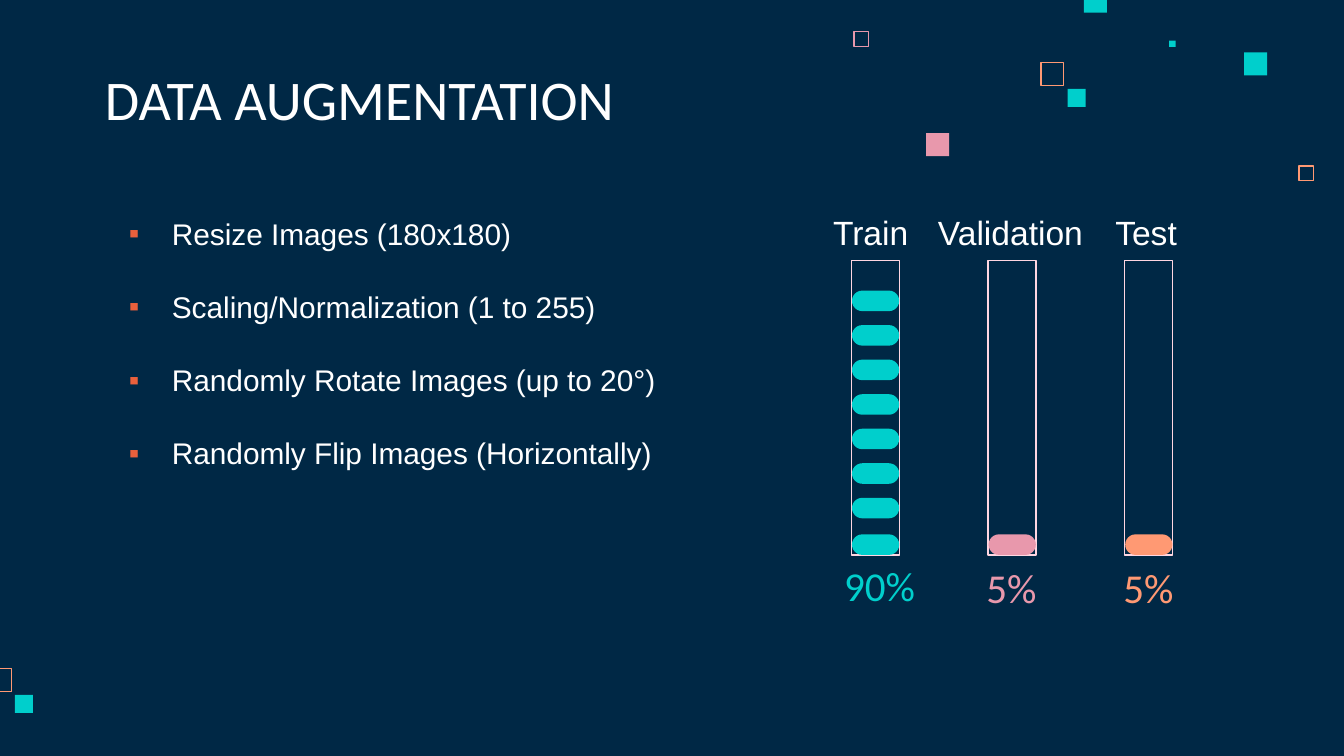
from lxml import etree
from pptx import Presentation
from pptx.dml.color import RGBColor
from pptx.enum import shapes, text
from pptx.oxml.ns import qn
from pptx.util import Pt

NAVY, WHITE, TEAL = "002845", "FFFFFF", "00CFCC"
PINK, ORANGE, PALE, BULLET = "E898AC", "FF9973", "FFD6E1", "E9603C"

TITLE = "DATA AUGMENTATION"
STEPS = [
    "Resize Images (180x180)",
    "Scaling/Normalization (1 to 255)",
    "Randomly Rotate Images (up to 20°)",
    "Randomly Flip Images (Horizontally)",
]
# name, name left, name width, share, share left, share top, colour, pills
SPLITS = [
    ("Train", 439.2, 60, "90%", 435.6, 303.1, TEAL, 8),
    ("Validation", 495.4, 94.5, "5%", 506.2, 303.8, PINK, 1),
    ("Test", 590.4, 50, "5%", 579.6, 303.8, ORANGE, 1),
]
# left, top, side, colour, filled
SQUARES = [
    (695.5, 88.6, 8.6, ORANGE, False),
    (457.2, 16.6, 8.6, PINK, False),
    (557.3, 33.1, 13, ORANGE, False),
    (626.4, 21.8, 3.4, TEAL, True),
    (580.6, -5.6, 12.4, TEAL, True),
    (666.5, 28, 12.4, TEAL, True),
    (572, 47.6, 9.7, TEAL, True),
    (496.1, 71.3, 12.4, PINK, True),
    (-6.5, 357.8, 13, ORANGE, False),
    (8, 372.3, 9.7, TEAL, True),
]

TUBE_LEFT, TUBE_TOP, TUBE_STEP = 455.8, 139.2, 73.2
TUBE_WIDTH, TUBE_HEIGHT = 26.5, 158.5
LINE = 0.75
PILL_WIDTH, PILL_HEIGHT = 25.3, 11
PILL_BOTTOM, PILL_NEXT, PILL_STEP = 286.3, 266.7, 18.5


def rgb(value):
    return RGBColor.from_string(value)


def add_block(kind, left, top, width, height, color, filled=True):
    """Add a filled shape, or an outline drawn inside the given box."""
    inset = 0 if filled else LINE / 2
    block = slide.shapes.add_shape(
        kind, Pt(left + inset), Pt(top + inset),
        Pt(width - 2 * inset), Pt(height - 2 * inset))
    block.shadow.inherit = False
    if filled:
        block.fill.solid()
        block.fill.fore_color.rgb = rgb(color)
        block.line.fill.background()
    else:
        block.fill.background()
        block.line.color.rgb = rgb(color)
        block.line.width = Pt(LINE)
    return block


def set_frame(frame, anchor, side, edge):
    frame.word_wrap = True
    frame.auto_size = text.MSO_AUTO_SIZE.NONE
    frame.vertical_anchor = anchor
    frame.margin_left = frame.margin_right = Pt(side)
    frame.margin_top = frame.margin_bottom = Pt(edge)


def set_text(paragraph, words, font, size, color, align=text.PP_ALIGN.LEFT):
    paragraph.text = words
    paragraph.alignment = align
    paragraph.font.name = font
    paragraph.font.size = Pt(size)
    paragraph.font.color.rgb = rgb(color)


def add_text_frame(left, top, width, height, anchor=text.MSO_ANCHOR.TOP, edge=7.2):
    box = slide.shapes.add_textbox(Pt(left), Pt(top), Pt(width), Pt(height))
    set_frame(box.text_frame, anchor, 7.2, edge)
    return box.text_frame


def add_bullet(paragraph):
    props = paragraph._p.get_or_add_pPr()
    props.set("marL", str(Pt(36)))
    props.set("indent", str(-Pt(23)))
    color = etree.SubElement(props, qn("a:buClr"))
    etree.SubElement(color, qn("a:srgbClr"), val=BULLET)
    etree.SubElement(props, qn("a:buFont"), typeface="Arial")
    etree.SubElement(props, qn("a:buChar"), char="▪")


prs = Presentation()
prs.slide_width, prs.slide_height = Pt(720), Pt(405)
slide = prs.slides.add_slide(prs.slide_layouts[5])
slide.background.fill.solid()
slide.background.fill.fore_color.rgb = rgb(NAVY)

title = slide.shapes.title
title.left, title.top, title.width, title.height = Pt(49), Pt(32.4), Pt(372), Pt(45.4)
set_frame(title.text_frame, text.MSO_ANCHOR.BOTTOM, 7.2, 7.2)
set_text(title.text_frame.paragraphs[0], TITLE, "Calibri", 30, WHITE)

for left, top, side, color, filled in SQUARES:
    add_block(shapes.MSO_SHAPE.RECTANGLE, left, top, side, side, color, filled)

steps = add_text_frame(49, 108.3, 324, 190)
for i, step in enumerate(STEPS):
    paragraph = steps.add_paragraph() if i else steps.paragraphs[0]
    set_text(paragraph, step, "Arial", 16, WHITE)
    paragraph.space_after = Pt(20)
    add_bullet(paragraph)

for column, split in enumerate(SPLITS):
    name, name_left, name_width, share, share_left, share_top, color, pills = split
    left = TUBE_LEFT + column * TUBE_STEP
    add_block(shapes.MSO_SHAPE.RECTANGLE, left, TUBE_TOP,
              TUBE_WIDTH, TUBE_HEIGHT, PALE, filled=False)
    tops = [PILL_BOTTOM] + [PILL_NEXT - i * PILL_STEP for i in range(pills - 1)]
    for top in tops:
        pill = add_block(shapes.MSO_SHAPE.ROUNDED_RECTANGLE,
                         left + (TUBE_WIDTH - PILL_WIDTH) / 2, top,
                         PILL_WIDTH, PILL_HEIGHT, color)
        pill.adjustments[0] = 0.5

    heading = add_text_frame(name_left, 110.2, name_width, 29, edge=3.6)
    set_text(heading.paragraphs[0], name, "Arial", 18, WHITE)
    label = add_text_frame(share_left, share_top, 71.3, 31, text.MSO_ANCHOR.BOTTOM)
    set_text(label.paragraphs[0], share, "Calibri", 22, color, text.PP_ALIGN.CENTER)

prs.save("out.pptx")
